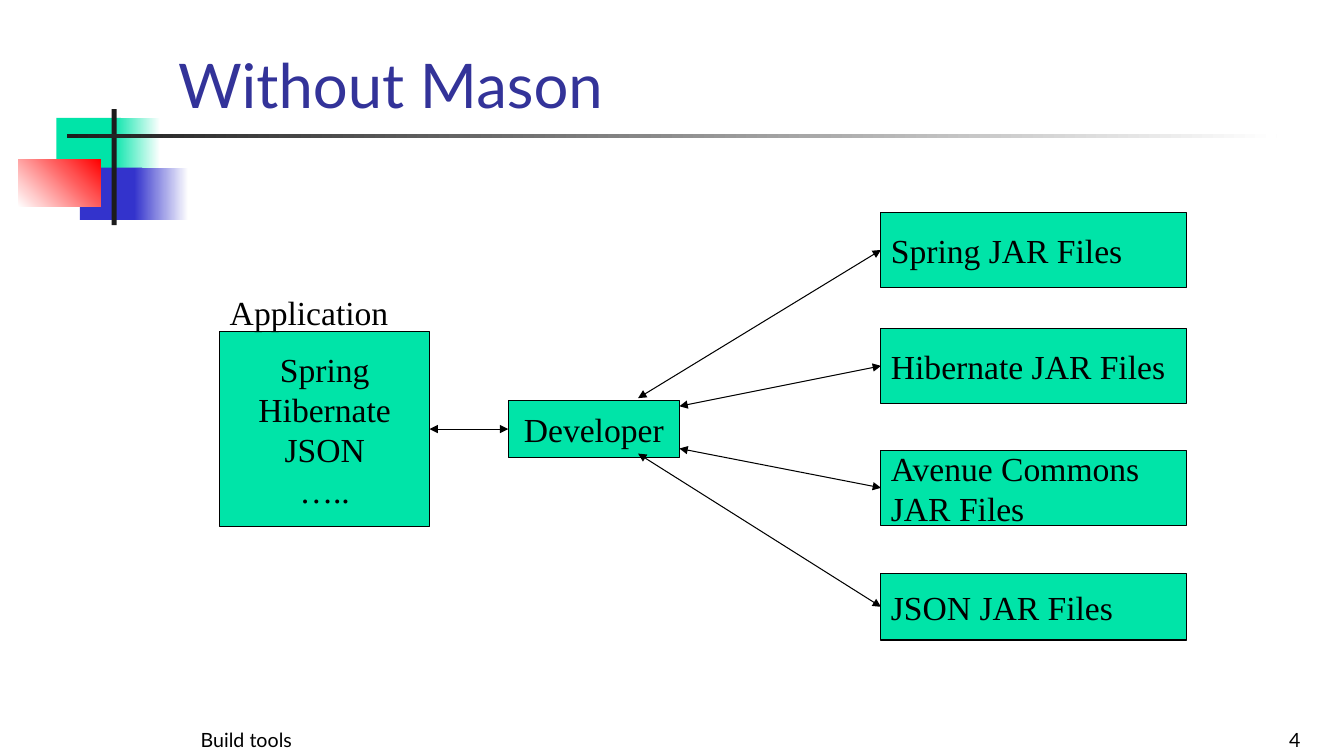
import pptx
import pptx.util
import pptx.dml.color
import pptx.enum.shapes
import pptx.enum.text
import pptx.oxml.ns
from lxml import etree

Pt = pptx.util.Pt
ALIGN = pptx.enum.text.PP_ALIGN
ANCHOR = pptx.enum.text.MSO_ANCHOR
COLORS = {
    "green": "00E4A8",
    "blue": "3333CC",
    "red": "FF0000",
    "white": "FFFFFF",
    "dark": "1C1C1C",
    "title": "333399",
    "black": "000000",
}
SERIF = "Times New Roman"
SANS = "Lato"


def rgb(name):
    return pptx.dml.color.RGBColor.from_string(COLORS[name])


def add_rect(s, box, color):
    sp = s.shapes.add_shape(
        pptx.enum.shapes.MSO_SHAPE.RECTANGLE, *[Pt(v) for v in box])
    sp.shadow.inherit = False
    sp.fill.solid()
    sp.fill.fore_color.rgb = rgb(color)
    sp.line.fill.background()
    return sp


def add_fade(s, box, start, end, angle=0):
    sp = add_rect(s, box, start)
    sp.fill.gradient()
    sp.fill.gradient_angle = angle
    for stop, color in zip(sp.fill.gradient_stops, (start, end)):
        stop.color.rgb = rgb(color)


def write(sp, lines, font, size, color, align, anchor):
    tf = sp.text_frame
    tf.word_wrap = True
    tf.auto_size = pptx.enum.text.MSO_AUTO_SIZE.NONE
    tf.vertical_anchor = anchor
    tf.text = "\n".join(lines)
    for p in tf.paragraphs:
        p.alignment = align
        p.font.name = font
        p.font.size = Pt(size)
        p.font.color.rgb = rgb(color)


def add_box(s, box, lines, align):
    sp = add_rect(s, box, "green")
    sp.line.color.rgb = rgb("black")
    sp.line.width = Pt(0.75)
    write(sp, lines, SERIF, 24, "black", align, ANCHOR.MIDDLE)


def add_label(s, box, text, font, size, align, anchor):
    sp = s.shapes.add_textbox(*[Pt(v) for v in box])
    write(sp, [text], font, size, "black", align, anchor)


def add_arrow(s, x1, y1, x2, y2):
    line = s.shapes.add_connector(
        pptx.enum.shapes.MSO_CONNECTOR.STRAIGHT, Pt(x1), Pt(y1), Pt(x2), Pt(y2))
    line.line.color.rgb = rgb("black")
    line.line.width = Pt(0.75)
    ln = line.line._get_or_add_ln()
    for end in ("a:headEnd", "a:tailEnd"):
        etree.SubElement(ln, pptx.oxml.ns.qn(end), type="triangle")
    etree.SubElement(line._element.spPr, pptx.oxml.ns.qn("a:effectLst"))


def add_decoration(s):
    add_rect(s, (40.3, 84.2, 46, 37.4), "green")
    add_fade(s, (80, 84.2, 34.5, 37.4), "green", "white")
    add_rect(s, (57, 119.7, 44.6, 37.4), "blue")
    add_fade(s, (95.8, 119.7, 38.8, 37.4), "blue", "white")
    add_fade(s, (13, 113.6, 59, 34), "white", "red", 45)
    add_rect(s, (79.8, 78, 3.6, 82.8), "dark")
    add_fade(s, (48, 95.9, 864, 2.4), "dark", "white")


def add_title(s, text):
    sp = s.shapes.title
    sp.left, sp.top, sp.width, sp.height = Pt(120), Pt(0), Pt(818), Pt(90)
    write(sp, [text], SANS, 44, "title", ALIGN.LEFT, ANCHOR.BOTTOM)


def add_jars(s):
    left, width = 629.3, 218.2
    jars = [
        (151.9, 53.3, ["Spring JAR Files"], 455.8, 284.4),
        (234.7, 53.3, ["Hibernate JAR Files"], 485.3, 290.2),
        (321.8, 53.3, ["Avenue Commons", "JAR Files"], 485.3, 320.4),
        (409.7, 47.5, ["JSON JAR Files"], 455.8, 324),
    ]
    for top, height, lines, x, y in jars:
        add_box(s, (left, top, width, height), lines, ALIGN.LEFT)
        add_arrow(s, x, y, left, top + height / 2)


def main():
    prs = pptx.Presentation()
    prs.slide_width, prs.slide_height = Pt(960), Pt(540)
    s = prs.slides.add_slide(prs.slide_layouts[5])
    add_decoration(s)
    add_title(s, "Without Mason")
    add_box(s, (157, 237, 149.8, 139),
            ["Spring", "Hibernate", "JSON", "….."], ALIGN.CENTER)
    add_box(s, (363, 286, 122.4, 41), ["Developer"], ALIGN.CENTER)
    add_arrow(s, 306.8, 306.5, 363, 306.5)
    add_jars(s)
    add_label(s, (157, 205.2, 149.8, 36), "Application",
              SERIF, 24, ALIGN.LEFT, ANCHOR.TOP)
    add_label(s, (24, 504, 304, 36), "Build tools",
              SANS, 14, ALIGN.CENTER, ANCHOR.BOTTOM)
    add_label(s, (736, 504, 200, 36), "4",
              SANS, 14, ALIGN.RIGHT, ANCHOR.BOTTOM)
    prs.save("out.pptx")


if __name__ == "__main__":
    main()
